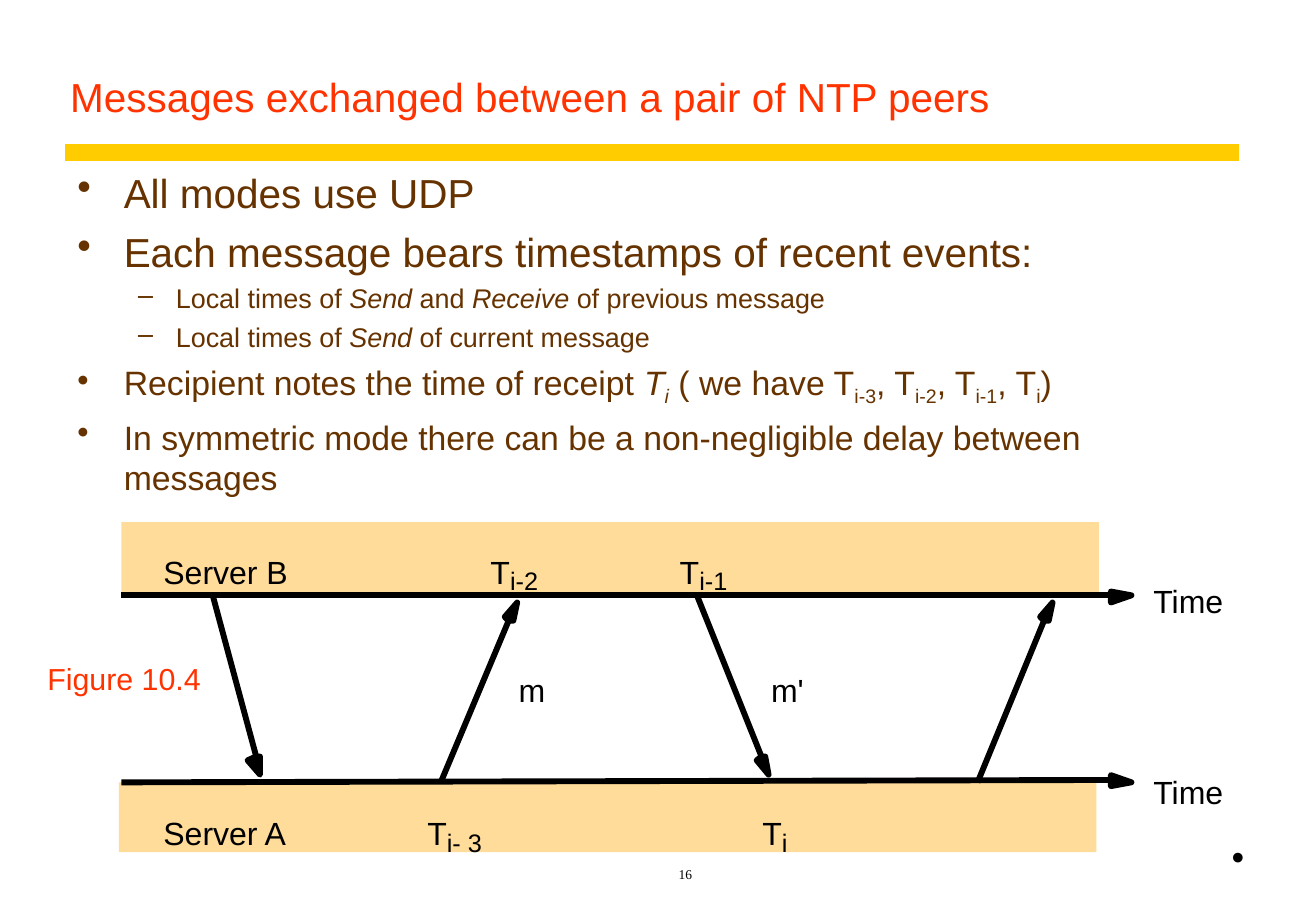
import pptx
import pptx.util
import pptx.dml.color
import pptx.enum.shapes
import pptx.enum.text
from lxml import etree
from pptx.oxml.ns import qn

Cm, Pt = pptx.util.Cm, pptx.util.Pt
RGB = pptx.dml.color.RGBColor.from_string
ANCHOR = pptx.enum.text.MSO_ANCHOR
ALIGN = pptx.enum.text.PP_ALIGN

COLORS = {"title": "FF3300", "rule": "FFCC00", "body": "663300",
          "ink": "000000", "band": "FFDC99"}

prs = pptx.Presentation()
prs.slide_width, prs.slide_height = Cm(27.53), Cm(19.05)
s = prs.slides.add_slide(prs.slide_layouts[6])


def add_text(box, text, size, color="ink", font="Arial", inset=(0.25, 0.13), frame=None, para=None):
    """Add a text box; frame and para hold extra format values. Return its text frame."""
    tf = s.shapes.add_textbox(*map(Cm, box)).text_frame
    dx, dy = map(Cm, inset)
    formats = {"margin_left": dx, "margin_right": dx, "margin_top": dy,
               "margin_bottom": dy, "word_wrap": False}
    for name, value in {**formats, **(frame or {})}.items():
        setattr(tf, name, value)
    p = tf.paragraphs[0]
    for name, value in (para or {}).items():
        setattr(p, name, value)
    if text:
        r = p.add_run()
        r.text = text
        r.font.size, r.font.name = Pt(size), font
        r.font.color.rgb = RGB(COLORS[color])
    return tf


def add_line(start, end, color, width):
    line = s.shapes.add_connector(pptx.enum.shapes.MSO_CONNECTOR.STRAIGHT,
                                  *map(Cm, (*start, *end)))
    line.line.color.rgb = RGB(COLORS[color])
    line.line.width = Pt(width)
    etree.SubElement(line._element.spPr, qn("a:effectLst"))


# Title, rule and page number
add_line((1.37, 3.18), (25.91, 3.18), "rule", 10)
add_text((5.97, 17.78, 16.74, 0.79), "16", 8, font="Times New Roman",
         frame={"word_wrap": True, "vertical_anchor": ANCHOR.BOTTOM},
         para={"alignment": ALIGN.CENTER})
add_text((1.22, 0.64, 24.69, 2.03), "Messages exchanged between a pair of NTP peers", 24, "title",
         frame={"word_wrap": True, "vertical_anchor": ANCHOR.BOTTOM},
         para={"line_spacing": 0.9})

# Server bands
for x, y in ((2.54, 10.92), (2.49, 16.36)):
    sp = s.shapes.add_shape(pptx.enum.shapes.MSO_SHAPE.RECTANGLE,
                            Cm(x), Cm(y), Cm(20.45), Cm(1.46))
    sp.shadow.inherit = False
    sp.fill.solid()
    sp.fill.fore_color.rgb = RGB(COLORS["band"])
    sp.line.fill.background()

# Time axes and messages: start, end, head corners measured from the end
rising_head = [(-0.08, -0.08), (0.18, -0.38), (0.1, 0)]
arrows = [
    ((20.45, 16.36), (21.84, 12.98), rising_head),
    ((14.58, 12.45), (15.93, 15.82), [(0.08, 0), (0.15, 0.38), (-0.1, 0.08)]),
    ((9.22, 16.36), (10.64, 12.98), rising_head),
    ((4.45, 12.45), (5.36, 15.82), [(0.08, 0), (0.08, 0.38), (-0.18, 0.08)]),
    ((2.54, 12.45), (23.24, 12.45), [(0, -0.08), (0.43, 0), (0, 0.15)]),
    ((2.54, 16.36), (23.24, 16.31), [(0, -0.1), (0.43, 0.05), (0, 0.13)]),
]
for start, (x, y), corners in arrows:
    add_line(start, (x, y), "ink", 3.5)
    outline = s.shapes.build_freeform(Cm(x), Cm(y))
    outline.add_line_segments([(Cm(x + dx), Cm(y + dy)) for dx, dy in corners], close=True)
    head = outline.convert_to_shape()
    head.shadow.inherit = False
    head.fill.solid()
    head.fill.fore_color.rgb = RGB(COLORS["ink"])
    head.line.color.rgb = RGB(COLORS["ink"])
    head.line.width = Pt(3.5)

# Diagram labels
for x, y, w, label in (
        (3.42, 11.56, 2.8, "Server B"), (3.42, 17.02, 2.8, "Server A"),
        (24.13, 12.17, 1.7, "Time"), (24.13, 16.15, 1.7, "Time"),
        (10.85, 14.02, 0.8, "m"), (16.13, 14.02, 0.9, "m'")):
    add_text((x, y, w, 0.81), label, 19, inset=(0, 0))

for x, y, index in ((15.95, 17.02, "i"), (14.22, 11.56, "i-1"),
                    (10.26, 11.56, "i-2"), (8.94, 17.02, "i- 3")):
    add_text((x, y, 0.5, 0.81), "T", 19, inset=(0, 0))
    add_text((x + 0.41, y + 0.27, 1.2, 0.64), index, 15, inset=(0, 0))

# Bullet list: level, size, space before, runs as (text, style), i italic, _ subscript
bullets = [
    (0, 24, 0, [("All modes use UDP", "")]),
    (0, 24, 6, [("Each message bears timestamps of recent events:", "")]),
    (1, 16, 4, [("Local times of ", ""), ("Send", "i"), (" and ", ""),
                ("Receive", "i"), (" of previous message", "")]),
    (1, 16, 4, [("Local times of ", ""), ("Send", "i"), (" of current message", "")]),
    (0, 20, 5, [("Recipient notes the time of receipt ", ""), ("T", "i"), ("i", "i_"),
                (" ( we have T", ""), ("i-3", "_"), (", T", ""), ("i-2", "_"),
                (", T", ""), ("i-1", "_"), (", T", ""), ("i", "_"), (")", "")]),
    (0, 20, 5, [("In symmetric mode there can be a non-negligible delay between messages", "")]),
]
levels = [("•", 0.97, -0.97), ("–", 2.06, -0.79)]
tf = add_text((1.37, 3.38, 24.61, 7.29), "", 24, frame={"word_wrap": True})
for n, (level, size, before, runs) in enumerate(bullets):
    p = tf.add_paragraph() if n else tf.paragraphs[0]
    char, margin, indent = levels[level]
    pPr = p._p.get_or_add_pPr()
    pPr.set("marL", str(Cm(margin)))
    pPr.set("indent", str(Cm(indent)))
    bullet_color = etree.SubElement(pPr, qn("a:buClr"))
    etree.SubElement(bullet_color, qn("a:srgbClr"), val=COLORS["body"])
    etree.SubElement(pPr, qn("a:buChar"), char=char)
    p.level, p.space_before = level, Pt(before)
    for text, style in runs:
        r = p.add_run()
        r.text = text
        for name, value in {"size": Pt(size), "name": "Arial", "italic": "i" in style}.items():
            setattr(r.font, name, value)
        r.font.color.rgb = RGB(COLORS["body"])
        if "_" in style:
            r._r.get_or_add_rPr().set("baseline", "-25000")

add_text((0.74, 13.67, 4.2, 1.02), "Figure 10.4", 18, "title")
add_text((25.5, 17.25, 0.9, 1.27), "•", 24, font="Times New Roman")

prs.save("out.pptx")
